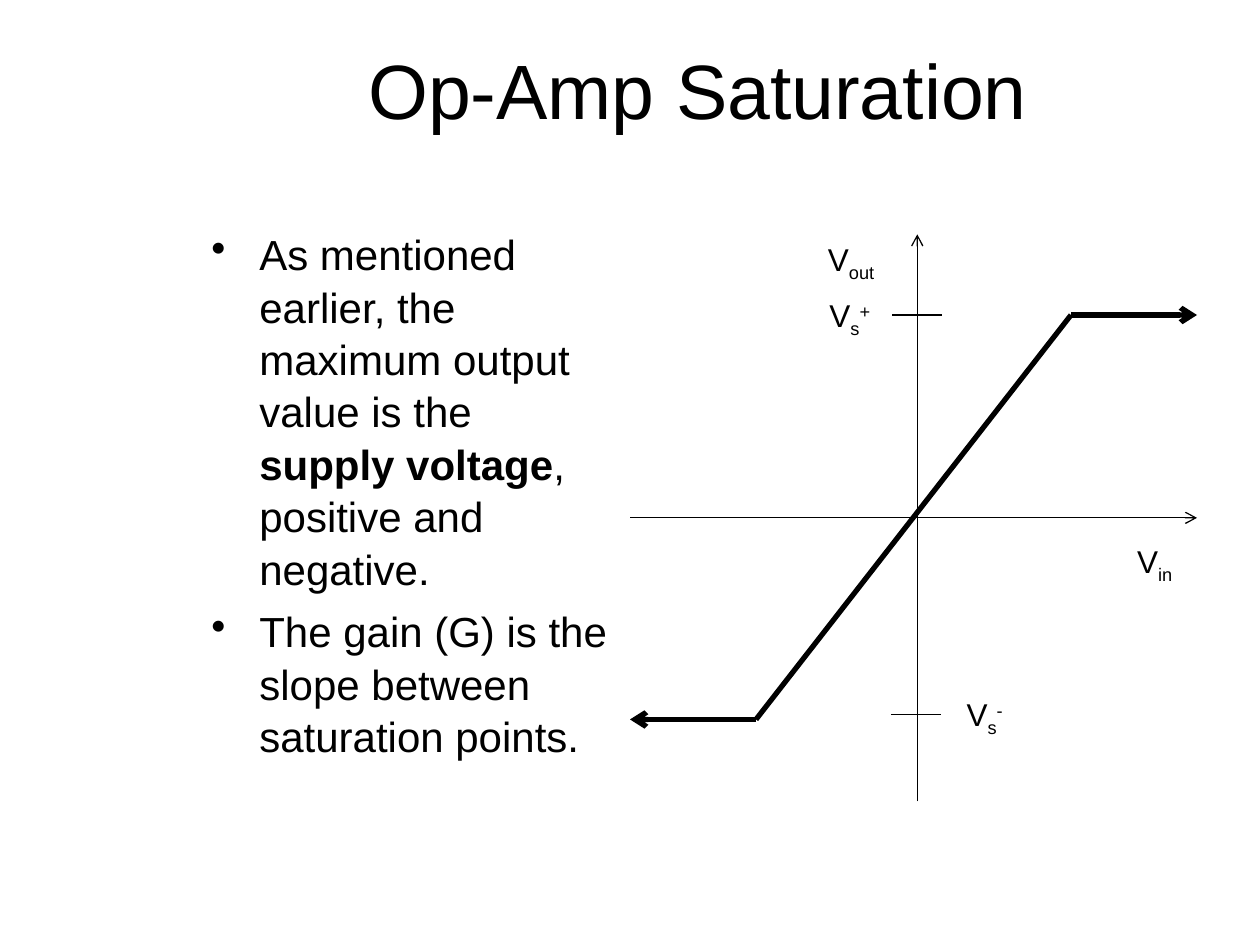
import pptx
import pptx.util
import pptx.dml.color
import pptx.enum.shapes
import pptx.enum.text
import pptx.oxml
import pptx.oxml.ns
import lxml.etree

Inches = pptx.util.Inches
Pt = pptx.util.Pt
qn = pptx.oxml.ns.qn
BLACK = pptx.dml.color.RGBColor(0, 0, 0)
CENTER = pptx.enum.text.PP_ALIGN.CENTER

deck = pptx.Presentation()
deck.slide_width = Inches(10)
deck.slide_height = Inches(7.5)
slide = deck.slides.add_slide(deck.slide_layouts[6])


def add_box(left, top, width, height):
    box = slide.shapes.add_textbox(Inches(left), Inches(top), Inches(width), Inches(height))
    box.text_frame.word_wrap = True
    return box.text_frame


def add_run(para, text, size):
    run = para.add_run()
    run.text = text
    run.font.name = "Arial"
    run.font.size = Pt(size)
    run.font.color.rgb = BLACK
    return run


title = add_box(1.58, 0.08, 7.92, 1.25)
title.vertical_anchor = pptx.enum.text.MSO_ANCHOR.MIDDLE
title.paragraphs[0].alignment = CENTER
add_run(title.paragraphs[0], "Op-Amp Saturation", 44)

points = [
    [
        ("As mentioned earlier, the maximum output value is the ", False),
        ("supply voltage", True),
        (", positive and negative.", False),
    ],
    [("The gain (G) is the slope between saturation points.", False)],
]
body = add_box(1.58, 1.75, 3.42, 4.95)
for i, parts in enumerate(points):
    para = body.paragraphs[0] if i == 0 else body.add_paragraph()
    props = para._p.get_or_add_pPr()
    props.set("marL", str(Inches(0.38)))
    props.set("indent", str(Inches(-0.38)))
    lxml.etree.SubElement(props, qn("a:buChar")).set("char", "•")
    para.line_spacing = 1.04
    if i > 0:
        para.space_before = Pt(6)
    for text, bold in parts:
        add_run(para, text, 24).font.bold = bold

lines = [
    (5, 4.11, 9.5, 4.11, 0.75, True),
    (7.28, 6.36, 7.28, 1.86, 0.75, True),
    (7.08, 2.5, 7.48, 2.5, 0.75, False),
    (7.07, 5.67, 7.47, 5.67, 0.75, False),
    (8.5, 2.5, 6, 5.71, 3, False),
    (8.5, 2.5, 9.5, 2.5, 3, True),
    (6, 5.71, 5, 5.71, 3, True),
]
for x1, y1, x2, y2, width, arrow in lines:
    line = slide.shapes.add_connector(
        pptx.enum.shapes.MSO_CONNECTOR.STRAIGHT,
        Inches(x1), Inches(y1), Inches(x2), Inches(y2),
    )
    line.line.color.rgb = BLACK
    line.line.width = Pt(width)
    if arrow:
        lxml.etree.SubElement(line.line._get_or_add_ln(), qn("a:tailEnd")).set("type", "arrow")
    lxml.etree.SubElement(line._element.spPr, qn("a:effectLst"))

labels = [
    (6.42, 1.86, "out", ""),
    (8.83, 4.25, "in", ""),
    (7.48, 5.47, "s", "-"),
    (6.41, 2.3, "s", "+"),
]
for left, top, sub, sign in labels:
    para = add_box(left, top, 0.67, 0.44).paragraphs[0]
    para.alignment = CENTER
    for text, base in (("V", 0), (sub, -25000), (sign, 30000)):
        if text:
            run = add_run(para, text, 18)
            if base:
                run._r.get_or_add_rPr().set("baseline", str(base))

deck.save("out.pptx")
